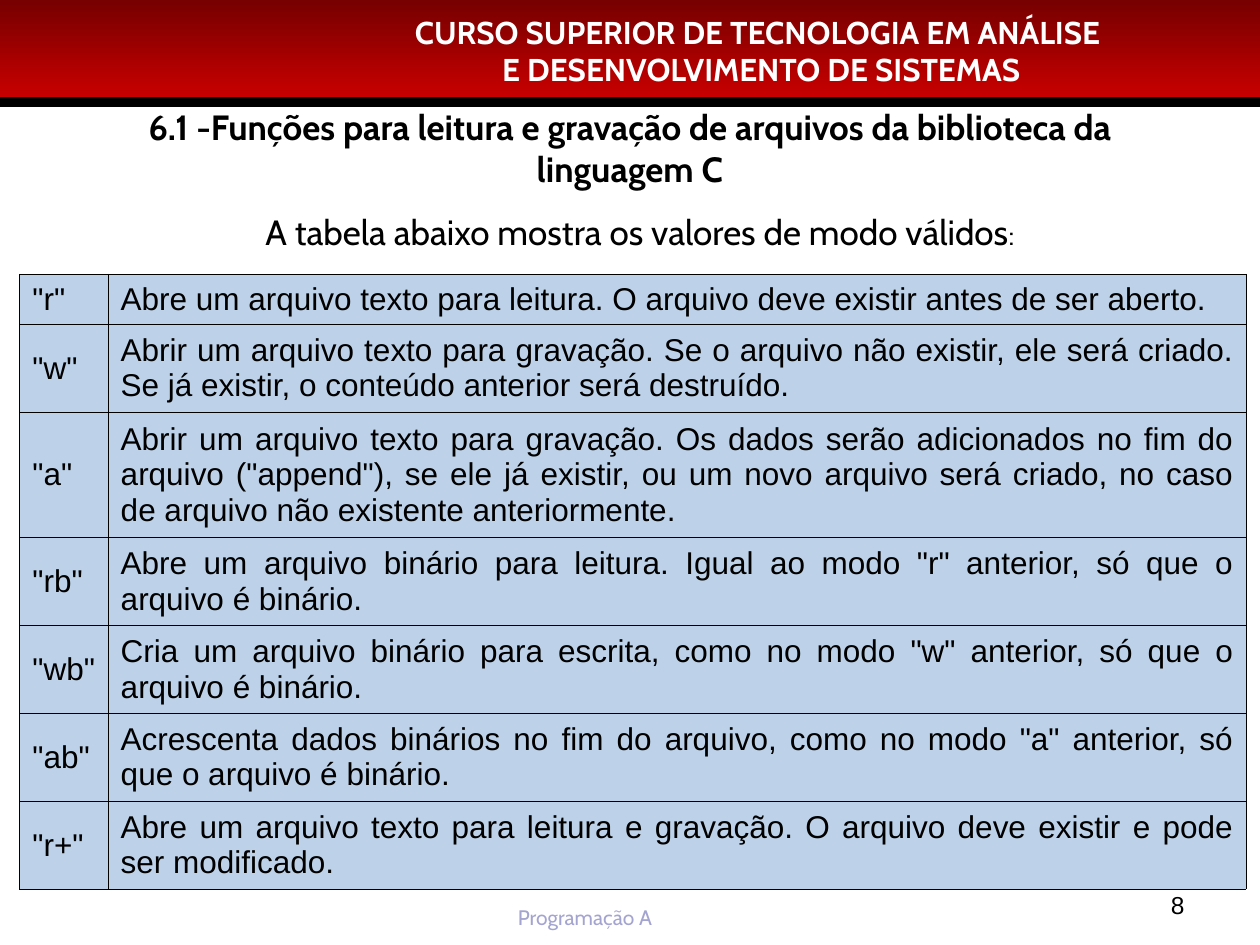
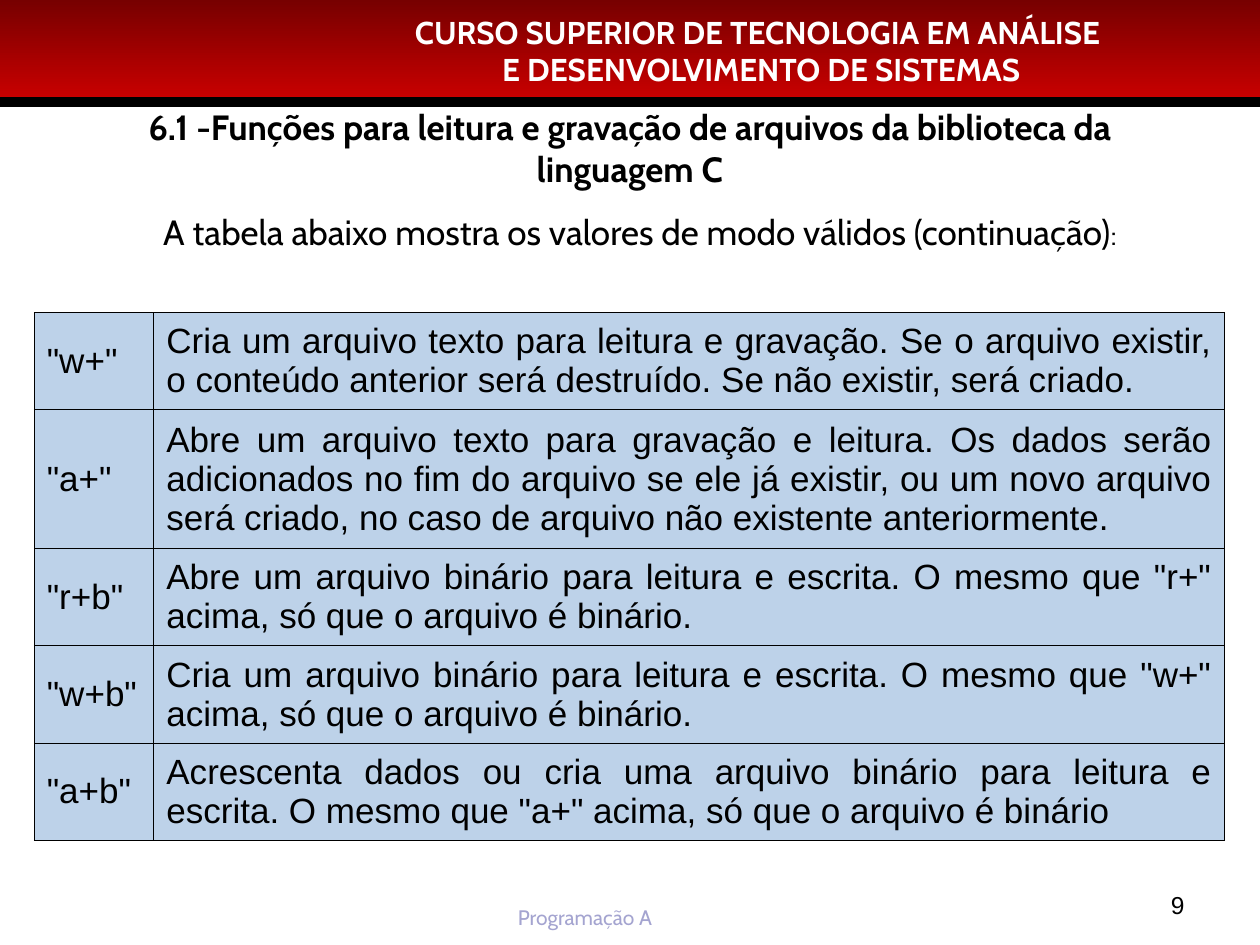
from dataclasses import dataclass

from lxml import etree
from pptx import Presentation
from pptx.dml.color import RGBColor
from pptx.enum.shapes import MSO_CONNECTOR, MSO_SHAPE
from pptx.enum.text import MSO_ANCHOR, MSO_AUTO_SIZE, PP_ALIGN
from pptx.oxml.ns import qn
from pptx.util import Cm, Pt

LEFT, CENTER, RIGHT, JUSTIFY = PP_ALIGN.LEFT, PP_ALIGN.CENTER, PP_ALIGN.RIGHT, PP_ALIGN.JUSTIFY
TOP, MIDDLE, BOTTOM = MSO_ANCHOR.TOP, MSO_ANCHOR.MIDDLE, MSO_ANCHOR.BOTTOM
RECTANGLE, STRAIGHT = MSO_SHAPE.RECTANGLE, MSO_CONNECTOR.STRAIGHT
NO_AUTOFIT = MSO_AUTO_SIZE.NONE
TITLE_AND_CONTENT = 1
BORDER_TAGS = ("a:lnL", "a:lnR", "a:lnT", "a:lnB")


@dataclass(frozen=True)
class Theme:
    black: str = "000000"
    white: str = "FFFFFF"
    band_dark: str = "770000"
    band_light: str = "CE0000"
    footer: str = "A4A4D0"
    cell: str = "BDD2E9"
    heading_font: str = "Cabin"
    table_font: str = "Arial"
    title_size: int = 20
    colon_size: int = 16
    course_size: int = 18
    number_size: int = 14
    footer_size: int = 12
    rule_width: float = 6
    border_width: float = 0.45


THEME = Theme()
SLIDE_WIDTH, SLIDE_HEIGHT = 25.4, 19.05
COURSE = ("CURSO SUPERIOR DE TECNOLOGIA EM ANÁLISE ", "E DESENVOLVIMENTO DE SISTEMAS")
TITLE = "6.1 -Funções para leitura e gravação de arquivos da biblioteca da linguagem C"
INTRO = "A tabela abaixo mostra os valores de modo válidos"


@dataclass(frozen=True)
class ModeTable:
    left: float
    top: float
    columns: tuple
    row_padding: float
    line_height: float
    size: int
    modes: tuple


BASIC_MODES = ModeTable(0.4, 5.53, (1.78, 22.94), 0.25, 0.76, 18, (
    ('"r"', 1, "Abre um arquivo texto para leitura. O arquivo deve existir antes de ser aberto."),
    ('"w"', 2, "Abrir um arquivo texto para gravação. Se o arquivo não existir, ele será criado. "
               "Se já existir, o conteúdo anterior será destruído."),
    ('"a"', 3, "Abrir um arquivo texto para gravação. Os dados serão adicionados no fim do arquivo "
               '("append"), se ele já existir, ou um novo arquivo será criado, no caso de arquivo '
               "não existente anteriormente."),
    ('"rb"', 2, 'Abre um arquivo binário para leitura. Igual ao modo "r" anterior, só que o '
                "arquivo é binário."),
    ('"wb"', 2, 'Cria um arquivo binário para escrita, como no modo "w" anterior, só que o '
                "arquivo é binário."),
    ('"ab"', 2, 'Acrescenta dados binários no fim do arquivo, como no modo "a" anterior, só '
                "que o arquivo é binário."),
    ('"r+"', 2, "Abre um arquivo texto para leitura e gravação. O arquivo deve existir e pode "
                "ser modificado."),
))
UPDATE_MODES = ModeTable(0.69, 6.3, (2.41, 21.59), 0.28, 0.84, 20, (
    ('"w+"', 2, "Cria um arquivo texto para leitura e gravação. Se o arquivo existir, o conteúdo "
                "anterior será destruído. Se não existir, será criado."),
    ('"a+"', 3, "Abre um arquivo texto para gravação e leitura. Os dados serão adicionados no fim "
                "do arquivo se ele já existir, ou um novo arquivo será criado, no caso de arquivo "
                "não existente anteriormente."),
    ('"r+b"', 2, 'Abre um arquivo binário para leitura e escrita. O mesmo que "r+" acima, só que '
                 "o arquivo é binário."),
    ('"w+b"', 2, 'Cria um arquivo binário para leitura e escrita. O mesmo que "w+" acima, só que '
                 "o arquivo é binário."),
    ('"a+b"', 2, "Acrescenta dados ou cria uma arquivo binário para leitura e escrita. O mesmo "
                 'que "a+" acima, só que o arquivo é binário'),
))


def rgb(color):
    return RGBColor.from_string(color)


def add_run(paragraph, text, size, font=THEME.heading_font, color=THEME.black, bold=False):
    run = paragraph.add_run()
    run.text = text
    run.font.size = Pt(size)
    run.font.name = font
    run.font.bold = bold
    run.font.color.rgb = rgb(color)


def add_label(slide, box, lines, align, anchor=TOP, wrap=True, **style):
    frame = slide.shapes.add_textbox(*map(Cm, box)).text_frame
    frame.word_wrap = wrap
    frame.vertical_anchor = anchor
    for index, line in enumerate(lines):
        paragraph = frame.add_paragraph() if index else frame.paragraphs[0]
        paragraph.alignment = align
        add_run(paragraph, line, **style)


def add_band(slide):
    band = slide.shapes.add_shape(RECTANGLE, 0, 0, Cm(SLIDE_WIDTH), Cm(2.13))
    band.shadow.inherit = False
    band.line.fill.background()
    band.fill.gradient()
    band.fill.gradient_angle = 270
    shades = (THEME.band_dark, THEME.band_light)
    for position, (stop, shade) in enumerate(zip(band.fill.gradient_stops, shades)):
        stop.position = position
        stop.color.rgb = rgb(shade)


def add_rule(slide):
    height = Cm(2.06)
    rule = slide.shapes.add_connector(STRAIGHT, 0, height, Cm(SLIDE_WIDTH), height)
    rule.line.color.rgb = rgb(THEME.black)
    rule.line.width = Pt(THEME.rule_width)
    etree.SubElement(rule.element.spPr, qn("a:effectLst"))


def add_frame(slide, number):
    add_band(slide)
    add_label(slide, (10.19, 18.11, 3.58, 0.76), ["Programação A"], LEFT, wrap=False,
              size=THEME.footer_size, color=THEME.footer)
    add_label(slide, (5.49, 0.13, 19.71, 1.78), COURSE, CENTER,
              size=THEME.course_size, color=THEME.white, bold=True)
    add_rule(slide)
    add_label(slide, (18.21, 17.35, 5.92, 1.32), [str(number)], RIGHT, BOTTOM,
              size=THEME.number_size, font=THEME.table_font)


def prepare_placeholder(placeholder, box, anchor):
    placeholder.left, placeholder.top, placeholder.width, placeholder.height = map(Cm, box)
    placeholder.element.getparent().append(placeholder.element)
    frame = placeholder.text_frame
    frame.auto_size = NO_AUTOFIT
    frame.word_wrap = True
    frame.vertical_anchor = anchor
    paragraph = frame.paragraphs[0]
    paragraph.alignment = CENTER
    paragraph.space_before = Pt(0)
    return paragraph


def set_title(slide):
    paragraph = prepare_placeholder(slide.shapes.title, (1.27, 1.07, 22.86, 3.81), MIDDLE)
    add_run(paragraph, TITLE, THEME.title_size, bold=True)


def set_intro(slide, intro):
    paragraph = prepare_placeholder(slide.placeholders[1], (1.27, 4.11, 23.04, 11.43), TOP)
    properties = paragraph._p.get_or_add_pPr()
    properties.set("marL", str(Cm(0.25)))
    properties.set("indent", str(Cm(-0.03)))
    etree.SubElement(properties, qn("a:buNone"))
    add_run(paragraph, intro, THEME.title_size)
    add_run(paragraph, ":", THEME.colon_size)


def add_borders(cell):
    properties = cell._tc.get_or_add_tcPr()
    for index, tag in enumerate(BORDER_TAGS):
        border = etree.Element(qn(tag), w=str(Pt(THEME.border_width)))
        fill = etree.SubElement(border, qn("a:solidFill"))
        etree.SubElement(fill, qn("a:srgbClr"), val=THEME.black)
        properties.insert(index, border)


def fill_cell(cell, text, size):
    cell.fill.solid()
    cell.fill.fore_color.rgb = rgb(THEME.cell)
    cell.vertical_anchor = MIDDLE
    add_borders(cell)
    paragraph = cell.text_frame.paragraphs[0]
    paragraph.alignment = JUSTIFY
    add_run(paragraph, text, size, THEME.table_font)


def add_mode_table(slide, spec_table):
    heights = [spec_table.row_padding + lines * spec_table.line_height
               for _, lines, _ in spec_table.modes]
    table = slide.shapes.add_table(
        len(heights), len(spec_table.columns), Cm(spec_table.left), Cm(spec_table.top),
        Cm(sum(spec_table.columns)), Cm(sum(heights))).table
    table.first_row = False
    table.horz_banding = False
    for column, width in zip(table.columns, spec_table.columns):
        column.width = Cm(width)
    for row, height, (mode, _, meaning) in zip(table.rows, heights, spec_table.modes):
        row.height = Cm(height)
        for cell, text in zip(row.cells, (mode, meaning)):
            fill_cell(cell, text, spec_table.size)


def add_mode_slide(deck, number, intro, mode_table):
    slide = deck.slides.add_slide(deck.slide_layouts[TITLE_AND_CONTENT])
    add_frame(slide, number)
    set_title(slide)
    set_intro(slide, intro)
    add_mode_table(slide, mode_table)


def main():
    deck = Presentation()
    deck.slide_width, deck.slide_height = Cm(SLIDE_WIDTH), Cm(SLIDE_HEIGHT)
    add_mode_slide(deck, 8, INTRO, BASIC_MODES)
    add_mode_slide(deck, 9, INTRO + " (continuação)", UPDATE_MODES)
    deck.save("out.pptx")


main()
